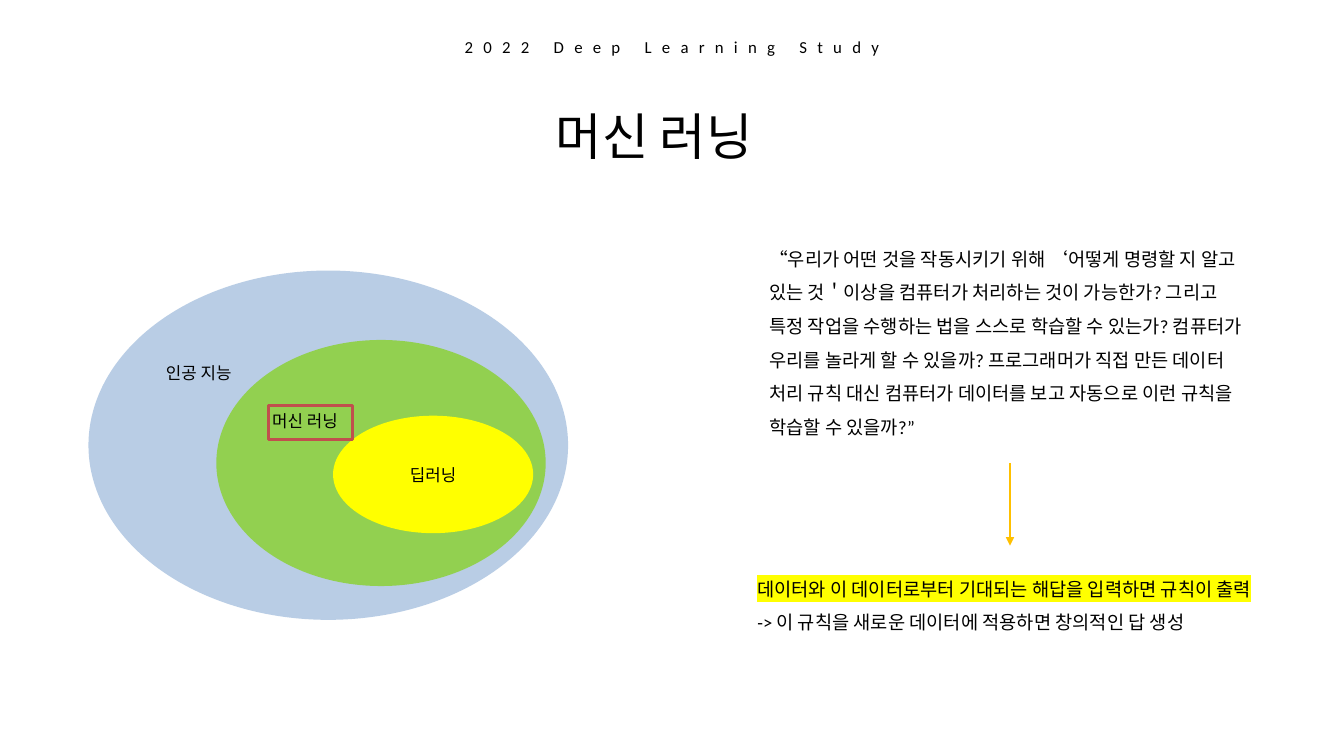
from typing import NamedTuple

from lxml.etree import SubElement
from pptx import Presentation
from pptx.dml.color import RGBColor
from pptx.enum.shapes import MSO_CONNECTOR, MSO_SHAPE
from pptx.enum.text import MSO_ANCHOR, MSO_AUTO_SIZE, PP_ALIGN
from pptx.oxml import parse_xml
from pptx.oxml.ns import nsdecls, qn
from pptx.util import Emu, Inches, Pt

FONT = "Calibri"
BLACK, YELLOW = "000000", "FFFF00"
COLS, ROWS = 20, 11.25
SLIDE_W, SLIDE_H = Inches(20), Inches(11.25)


class Box(NamedTuple):
    """Position and size in grid columns and rows."""
    col: float
    row: float
    cols: float
    rows: float


class Field(NamedTuple):
    """One nested ellipse; a label without a drop is centred."""
    label: str
    box: Box
    color: str
    line_pt: float
    drop: float | None = None


FIELDS = [
    Field("인공 지능", Box(1.33, 4.04, 7.11, 5.17), "B9CDE5", 2, 0.6),
    Field("머신 러닝", Box(3.24, 5.08, 4.86, 3.62), "92D050", 3, 0.5),
    Field("딥러닝", Box(4.97, 6.2, 2.95, 1.72), YELLOW, 2),
]
QUOTE = (
    "“우리가 어떤 것을 작동시키기 위해 ‘어떻게 명령할 지 알고 있는 것＇이상을 "
    "컴퓨터가 처리하는 것이 가능한가? 그리고 특정 작업을 수행하는 법을 스스로 "
    "학습할 수 있는가? 컴퓨터가 우리를 놀라게 할 수 있을까? 프로그래머가 직접 "
    "만든 데이터 처리 규칙 대신 컴퓨터가 데이터를 보고 자동으로 이런 규칙을 "
    "학습할 수 있을까?”"
)
CONCLUSION = [
    ("데이터와 이 데이터로부터 기대되는 해답을 입력하면 규칙이 출력", YELLOW),
    ("-> 이 규칙을 새로운 데이터에 적용하면 창의적인 답 생성", None),
]


def rgb(color: str) -> RGBColor:
    return RGBColor.from_string(color)


def x(col: float) -> Emu:
    return Emu(round(SLIDE_W * col / COLS))


def y(row: float) -> Emu:
    return Emu(round(SLIDE_H * row / ROWS))


def place(box: Box) -> tuple[Emu, Emu, Emu, Emu]:
    return x(box.col), y(box.row), x(box.cols), y(box.rows)


def setup_frame(tf, anchor=MSO_ANCHOR.TOP):
    tf.word_wrap = True
    tf.auto_size = MSO_AUTO_SIZE.NONE
    tf.vertical_anchor = anchor
    return tf


def add_run(p, text: str, size: float, highlight: str | None = None):
    r = p.add_run()
    r.text = text
    r.font.size = Pt(size)
    r.font.color.rgb = rgb(BLACK)
    r.font.name = FONT
    if highlight:
        mark = parse_xml(f'<a:highlight {nsdecls("a")}><a:srgbClr val="{highlight}"/></a:highlight>')
        r.font._element.find(qn("a:latin")).addprevious(mark)
    return r


def add_text_box(s, box: Box, anchor=MSO_ANCHOR.TOP):
    return setup_frame(s.shapes.add_textbox(*place(box)).text_frame, anchor)


def move_placeholder(sp, box: Box):
    sp.left, sp.top, sp.width, sp.height = place(box)
    return setup_frame(sp.text_frame)


def add_outlined(shapes, kind, box: Box, line: str, line_pt: float, fill: str | None = None):
    sp = shapes.add_shape(kind, *place(box))
    sp.shadow.inherit = False
    if fill:
        sp.fill.solid()
        sp.fill.fore_color.rgb = rgb(fill)
    else:
        sp.fill.background()
    sp.line.color.rgb = rgb(line)
    sp.line.width = Pt(line_pt)
    return sp


def add_field(shapes, field: Field) -> None:
    sp = add_outlined(shapes, MSO_SHAPE.OVAL, field.box, field.color, field.line_pt, field.color)
    centred = field.drop is None
    tf = setup_frame(sp.text_frame, MSO_ANCHOR.MIDDLE if centred else MSO_ANCHOR.TOP)
    if not centred:
        tf.margin_top = y(field.drop)
    p = tf.paragraphs[0]
    p.alignment = PP_ALIGN.CENTER if centred else PP_ALIGN.LEFT
    add_run(p, field.label, 18)


def add_down_arrow(s, col: float, top: float, bottom: float, color: str) -> None:
    line = s.shapes.add_connector(MSO_CONNECTOR.STRAIGHT, x(col), y(top), x(col), y(bottom))
    line.line.color.rgb = rgb(color)
    line.line.width = Pt(3)
    SubElement(line.line._get_or_add_ln(), qn("a:tailEnd"), type="triangle")
    SubElement(line._element.spPr, qn("a:effectLst"))


def fill_conclusion(tf) -> None:
    for i, (text, highlight) in enumerate(CONCLUSION):
        p = tf.add_paragraph() if i else tf.paragraphs[0]
        p.line_spacing = 1.5
        p.space_before = Pt(0)
        pPr = p._p.get_or_add_pPr()
        pPr.set("marL", "0")
        pPr.set("indent", "0")
        SubElement(pPr, qn("a:buNone"))
        add_run(p, text, 20, highlight)


def main() -> None:
    prs = Presentation()
    prs.slide_width, prs.slide_height = SLIDE_W, SLIDE_H
    s = prs.slides.add_slide(prs.slide_layouts[1])

    p = move_placeholder(s.shapes.title, Box(8.17, 1.51, 3.67, 1.01)).paragraphs[0]
    p.alignment = PP_ALIGN.LEFT
    add_run(p, "머신 러닝", 54)
    fill_conclusion(move_placeholder(s.placeholders[1], Box(11.17, 8.38, 8.36, 1.06)))

    p = add_text_box(s, Box(1.53, 0.49, 16.94, 0.4), MSO_ANCHOR.MIDDLE).paragraphs[0]
    p.alignment = PP_ALIGN.CENTER
    header = add_run(p, "2022 Deep Learning Study", 18)
    header.font._element.set("spc", "1100")

    group = s.shapes.add_group_shape()
    for field in FIELDS:
        add_field(group.shapes, field)
    add_outlined(s.shapes, MSO_SHAPE.RECTANGLE, Box(4, 6.04, 1.25, 0.5), "C0504D", 3)

    p = add_text_box(s, Box(11.35, 3.47, 7.34, 3.08)).paragraphs[0]
    p.line_spacing = 1.5
    add_run(p, QUOTE, 20)
    add_down_arrow(s, 15.03, 6.89, 8.12, "FFC000")

    prs.save("out.pptx")


if __name__ == "__main__":
    main()
